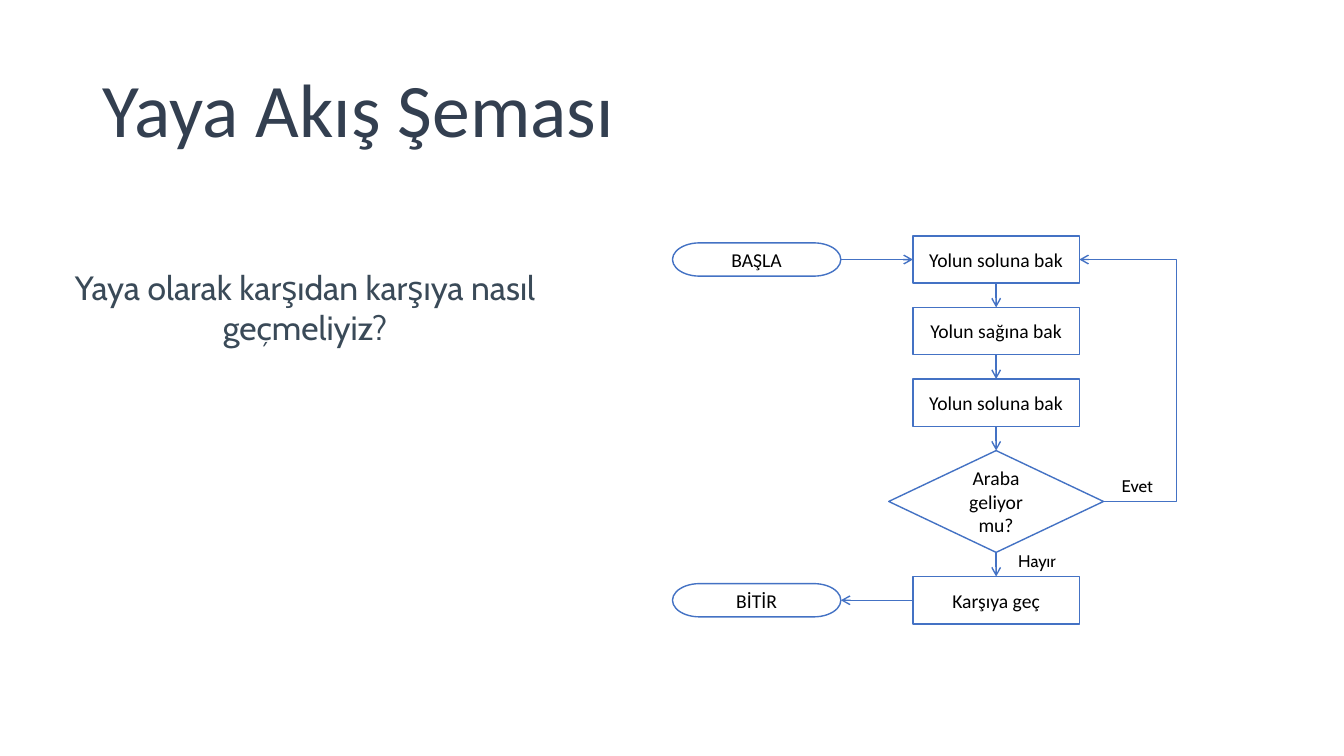
import pptx
import pptx.util
import pptx.dml.color
import pptx.enum.shapes
import pptx.enum.text
import pptx.oxml.ns
from lxml import etree

Inches = pptx.util.Inches
Pt = pptx.util.Pt
RGBColor = pptx.dml.color.RGBColor
SHAPE = pptx.enum.shapes.MSO_SHAPE
CONNECTOR = pptx.enum.shapes.MSO_CONNECTOR
ANCHOR = pptx.enum.text.MSO_ANCHOR
ALIGN = pptx.enum.text.PP_ALIGN
qn = pptx.oxml.ns.qn

WHITE = RGBColor(0xFF, 0xFF, 0xFF)
BLACK = RGBColor(0x00, 0x00, 0x00)
BLUE = RGBColor(0x44, 0x72, 0xC4)
NAVY = RGBColor(0x33, 0x3F, 0x50)
SLATE = RGBColor(0x3A, 0x4A, 0x58)

TOP, LEFT, BOTTOM, RIGHT = range(4)
STEP_WIDTH, STEP_HEIGHT, STEP_GAP = 1.65, 0.47, 0.24
DECISION_WIDTH, DECISION_HEIGHT = 2.13, 1.01
END_WIDTH, END_HEIGHT = 1.67, 0.33
SPINE_OFFSET = 3.21
LABEL_WIDTH, LABEL_HEIGHT = 0.62, 0.3


def write(shape, text, size, font, color, align, anchor):
    frame = shape.text_frame
    frame.word_wrap = True
    frame.vertical_anchor = anchor
    frame.text = text
    paragraph = frame.paragraphs[0]
    paragraph.alignment = align
    paragraph.font.size = Pt(size)
    paragraph.font.name = font
    paragraph.font.color.rgb = color
    return paragraph


def add_words(slide, box, text, size, font, color, align=ALIGN.LEFT, anchor=ANCHOR.TOP):
    words = slide.shapes.add_textbox(*map(Inches, box))
    return write(words, text, size, font, color, align, anchor)


def add_node(slide, kind, center_x, center_y, width, height, text):
    box = (center_x - width / 2, center_y - height / 2, width, height)
    node = slide.shapes.add_shape(kind, *map(Inches, box))
    node.shadow.inherit = False
    node.fill.solid()
    node.fill.fore_color.rgb = WHITE
    node.line.color.rgb = BLUE
    node.line.width = Pt(1)
    write(node, text, 14, "Calibri", BLACK, ALIGN.CENTER, ANCHOR.MIDDLE)
    return node


def add_arrow(slide, source, source_side, target, target_side, kind=CONNECTOR.STRAIGHT):
    arrow = slide.shapes.add_connector(kind, 0, 0, 0, 0)
    arrow.begin_connect(source, source_side)
    arrow.end_connect(target, target_side)
    arrow.line.color.rgb = BLUE
    arrow.line.width = Pt(1)
    etree.SubElement(arrow.line._get_or_add_ln(), qn("a:tailEnd"), type="arrow")
    etree.SubElement(arrow._element.spPr, qn("a:effectLst"))
    return arrow


def bend_at(arrow, x):
    share = (x - arrow.begin_x) / (arrow.end_x - arrow.begin_x)
    geometry = arrow._element.spPr.find(qn("a:prstGeom"))
    guides = geometry.find(qn("a:avLst"))
    if guides is None:
        guides = etree.SubElement(geometry, qn("a:avLst"))
    etree.SubElement(guides, qn("a:gd"), name="adj1", fmla=f"val {round(share * 100000)}")


def add_title(slide, box):
    title = add_words(slide, box, "Yaya Akış Şeması", 54, "Calibri", NAVY, anchor=ANCHOR.MIDDLE)
    title.line_spacing = 0.9


def add_question(slide, box):
    add_words(slide, box, "Yaya olarak karşıdan karşıya nasıl geçmeliyiz?",
              24, "Cabin", SLATE, ALIGN.CENTER)


def add_flowchart(slide, box):
    left, top, width, height = box
    spine = left + SPINE_OFFSET
    first_row = top + STEP_HEIGHT / 2
    last_row = top + height - STEP_HEIGHT / 2
    step = (SHAPE.RECTANGLE, STEP_WIDTH, STEP_HEIGHT)
    decision = (SHAPE.FLOWCHART_DECISION, DECISION_WIDTH, DECISION_HEIGHT)
    flow = [
        (step, "Yolun soluna bak"),
        (step, "Yolun sağına bak"),
        (step, "Yolun soluna bak"),
        (decision, "Araba geliyor mu?"),
        (step, "Karşıya geç"),
    ]
    nodes = []
    y = top
    for (kind, node_width, node_height), text in flow:
        nodes.append(add_node(slide, kind, spine, y + node_height / 2,
                              node_width, node_height, text))
        y += node_height + STEP_GAP
    start, finish = [
        add_node(slide, SHAPE.FLOWCHART_TERMINATOR, left + END_WIDTH / 2, row,
                 END_WIDTH, END_HEIGHT, text)
        for row, text in ((first_row, "BAŞLA"), (last_row, "BİTİR"))
    ]

    for upper, lower in zip(nodes, nodes[1:]):
        add_arrow(slide, upper, BOTTOM, lower, TOP)
    add_arrow(slide, start, RIGHT, nodes[0], LEFT)
    add_arrow(slide, nodes[-1], LEFT, finish, RIGHT)
    car_coming = nodes[3]
    repeat = add_arrow(slide, car_coming, RIGHT, nodes[0], RIGHT, CONNECTOR.ELBOW)
    bend_at(repeat, Inches(left + width))

    decision_bottom = top + height - STEP_HEIGHT - STEP_GAP
    decision_middle = decision_bottom - DECISION_HEIGHT / 2
    labels = [
        ("Hayır", spine + 0.12, decision_bottom - 0.07),
        ("Evet", spine + DECISION_WIDTH / 2 + 0.08, decision_middle - LABEL_HEIGHT),
    ]
    for text, x, label_top in labels:
        add_words(slide, (x, label_top, LABEL_WIDTH, LABEL_HEIGHT), text, 12, "Cabin", BLACK)


def main():
    deck = pptx.Presentation()
    deck.slide_width = Inches(13.33)
    deck.slide_height = Inches(7.5)
    slide = deck.slides.add_slide(deck.slide_layouts[6])
    add_title(slide, (0.92, 0.4, 11.5, 1.45))
    add_question(slide, (0.52, 2.6, 5.01, 0.91))
    add_flowchart(slide, (6.67, 2.34, 5, 3.85))
    deck.save("out.pptx")


if __name__ == "__main__":
    main()
